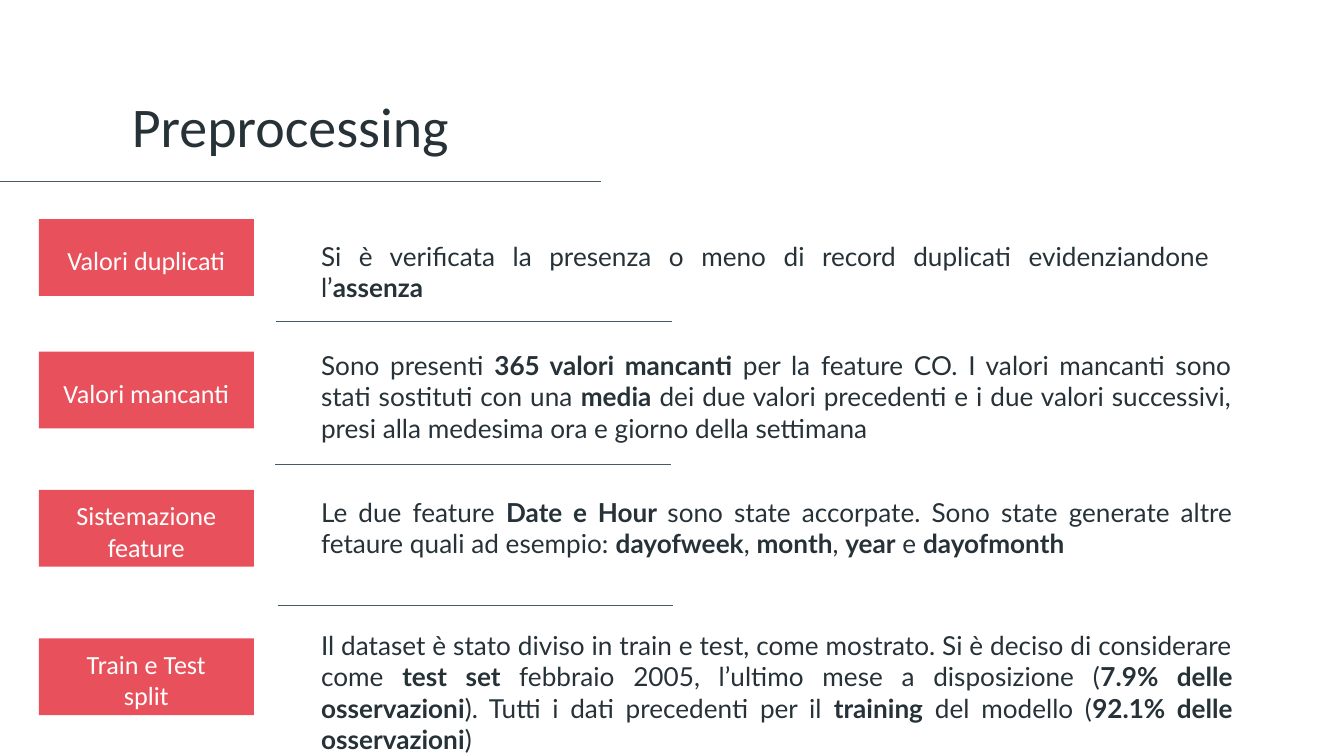
from pptx import Presentation
from pptx.dml.color import RGBColor
from pptx.enum.shapes import MSO_CONNECTOR, MSO_SHAPE
from pptx.enum.text import MSO_ANCHOR, PP_ALIGN
from pptx.oxml.ns import qn
from pptx.util import Pt
from lxml.etree import SubElement

DARK, RED, WHITE, RULE = "263238", "E8505B", "FFFFFF", "455A64"
TITLE = "Preprocessing"
ROWS = [
    {"label": "Valori duplicati", "top": 117.4, "inset": 7, "text_top": 125.3, "width": 490.3,
     "text": "Si è verificata la presenza o meno di record duplicati evidenziandone l’**assenza**"},
    {"label": "Valori mancanti", "top": 188.4, "inset": 7, "text_top": 183.6, "width": 502,
     "text": "Sono presenti **365 valori mancanti **per la feature CO. I valori mancanti sono "
             "stati sostituti con una **media** dei due valori precedenti e i due valori "
             "successivi, presi alla medesima ora e giorno della settimana"},
    {"label": "Sistemazione feature", "top": 262.4, "inset": 7, "text_top": 262.4, "width": 502.6,
     "text": "Le due feature **Date e Hour **sono state accorpate. Sono state generate altre "
             "fetaure quali ad esempio: **dayofweek**, **month**, **year** e **dayofmonth**"},
    {"label": "Train e Test split", "top": 342, "inset": 14, "text_top": 333.6, "width": 502.6,
     "text": "Il dataset è stato diviso in train e test, come mostrato. Si è deciso di considerare "
             "come **test set **febbraio 2005, l’ultimo mese a disposizione (**7.9% delle "
             "osservazioni**). Tutti i dati precedenti per il **training** del modello "
             "(**92.1% delle osservazioni**)"},
]
SEPARATORS = [(148, 172.1), (147.5, 248.9), (149, 324.4)]
LABEL_LEFT, LABEL_W, LABEL_H = 20.8, 115.2, 41.2
TEXT_LEFT, SEPARATOR_W = 164.9, 211.8


def rgb(value):
    return RGBColor.from_string(value)


def style(r, size, font, color, bold=False):
    r.font.size, r.font.name, r.font.bold = Pt(size), font, bold
    r.font.color.rgb = rgb(color)


def add_rule(s, x1, x2, y, weight):
    line = s.shapes.add_connector(MSO_CONNECTOR.STRAIGHT, Pt(x1), Pt(y), Pt(x2), Pt(y))
    line.line.color.rgb, line.line.width = rgb(RULE), Pt(weight)
    SubElement(line._element.spPr, qn("a:effectLst"))


def add_title(s):
    sp = s.shapes.title
    sp.left, sp.top, sp.width, sp.height = Pt(63.4), Pt(32.4), Pt(344.9), Pt(59.8)
    tf = sp.text_frame
    tf.text = TITLE
    tf.vertical_anchor = MSO_ANCHOR.BOTTOM
    tf.margin_left = tf.margin_right = tf.margin_top = tf.margin_bottom = Pt(7.2)
    p = tf.paragraphs[0]
    p.alignment = PP_ALIGN.LEFT
    style(p.runs[0], 30, "Calibri", DARK)


def add_label(s, row):
    sp = s.shapes.add_shape(MSO_SHAPE.RECTANGLE, Pt(LABEL_LEFT), Pt(row["top"]),
                            Pt(LABEL_W), Pt(LABEL_H))
    sp.shadow.inherit = False
    sp.fill.solid()
    sp.fill.fore_color.rgb = rgb(RED)
    sp.line.fill.background()
    tf = sp.text_frame
    tf.text = row["label"]
    tf.word_wrap = True
    tf.vertical_anchor = MSO_ANCHOR.MIDDLE
    tf.margin_left = tf.margin_right = Pt(row["inset"])
    tf.margin_top, tf.margin_bottom = Pt(3), Pt(0)
    p = tf.paragraphs[0]
    p.alignment = PP_ALIGN.CENTER
    style(p.runs[0], 14, "Calibri", WHITE)


def add_description(s, row):
    sp = s.shapes.add_textbox(Pt(TEXT_LEFT), Pt(row["text_top"]), Pt(row["width"]), Pt(58))
    tf = sp.text_frame
    tf.word_wrap = True
    p = tf.paragraphs[0]
    p.alignment = PP_ALIGN.JUSTIFY
    for i, part in enumerate(row["text"].split("**")):
        if part:
            r = p.add_run()
            r.text = part
            style(r, 14, "Lato", DARK, bold=i % 2 == 1)


def main():
    """Build the preprocessing slide and save it."""
    prs = Presentation()
    prs.slide_width, prs.slide_height = Pt(720), Pt(405)
    s = prs.slides.add_slide(prs.slide_layouts[5])
    add_title(s)
    add_rule(s, -9, 322, 97.2, 0.75)
    for row in ROWS:
        add_label(s, row)
        add_description(s, row)
    for left, y in SEPARATORS:
        add_rule(s, left, left + SEPARATOR_W, y, 0.25)
    prs.save("out.pptx")


if __name__ == "__main__":
    main()
